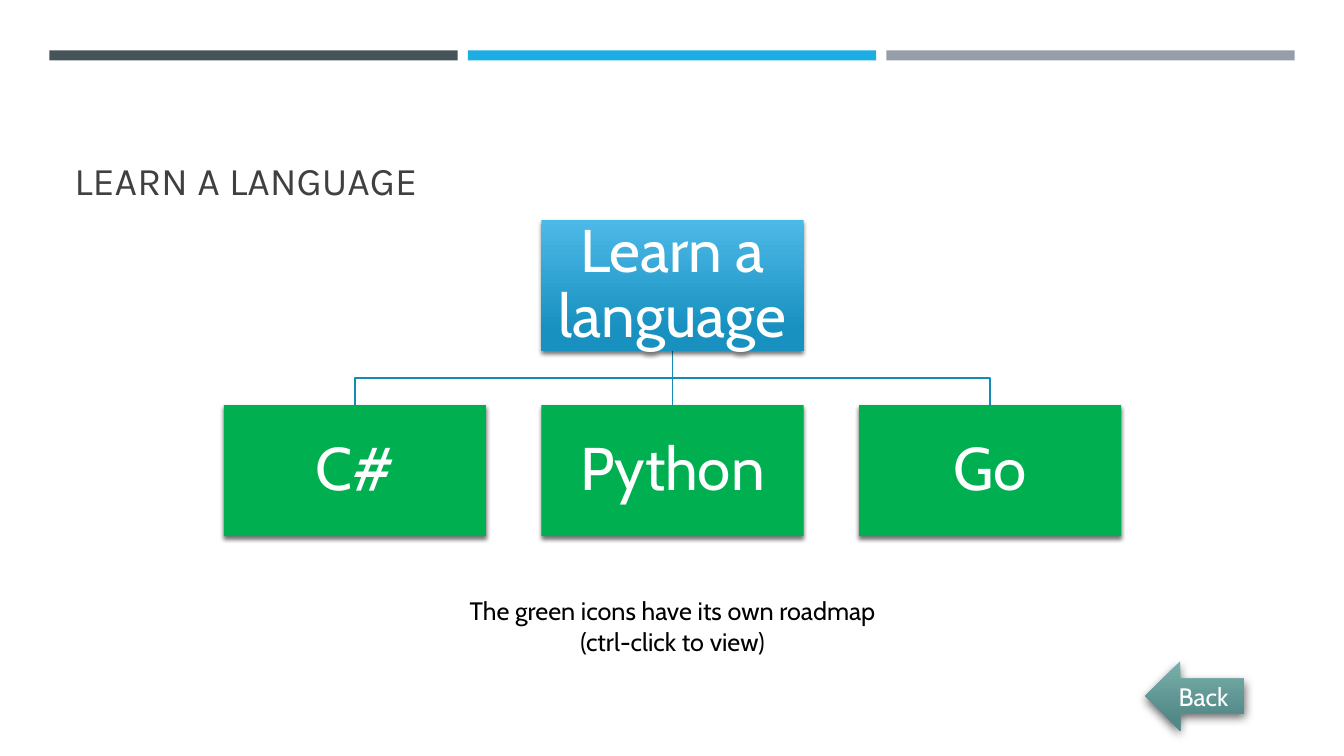
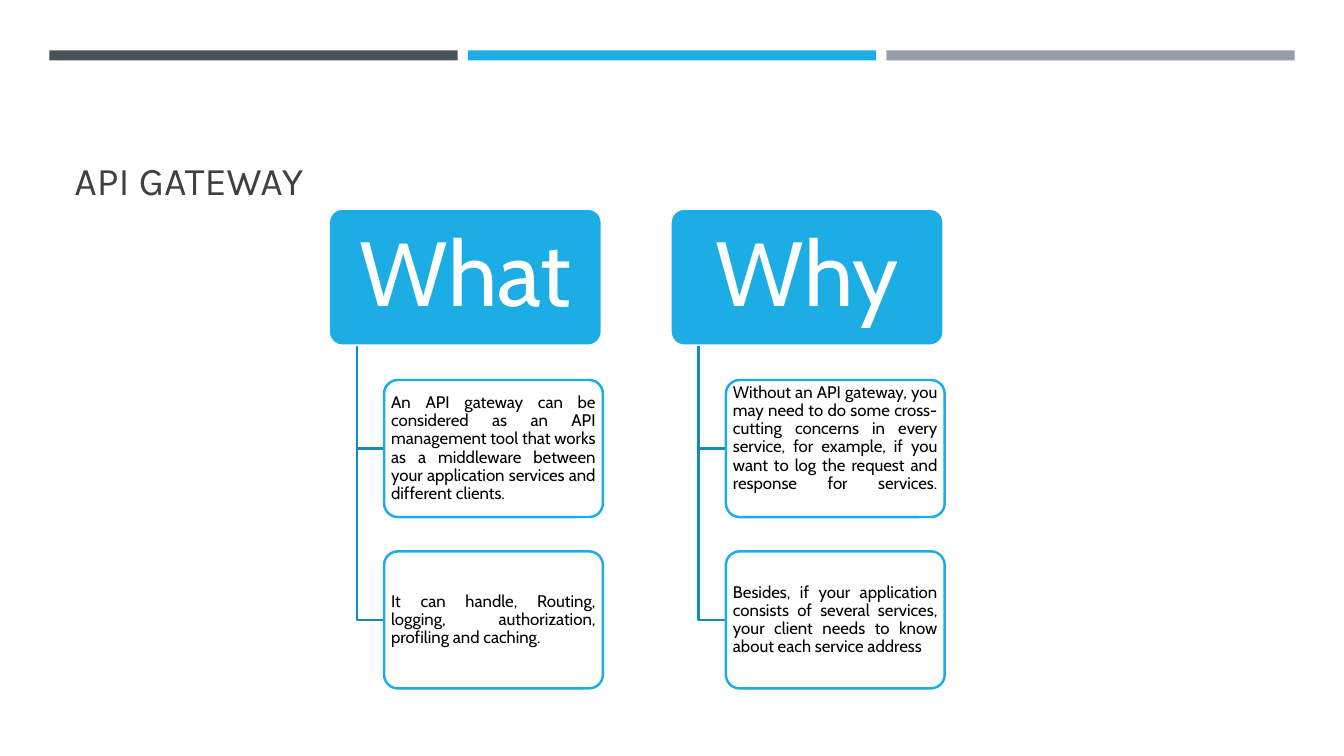
from lxml.etree import SubElement
from copy import deepcopy
from pptx import Presentation
from pptx.dml.color import RGBColor
from pptx.enum.shapes import MSO_CONNECTOR, MSO_SHAPE
from pptx.enum.text import MSO_ANCHOR, PP_ALIGN
from pptx.oxml.ns import qn
from pptx.util import Inches, Pt

SLATE = RGBColor(0x46, 0x53, 0x59)
BLUE = RGBColor(0x1C, 0xAD, 0xE4)
GREY = RGBColor(0x96, 0x9F, 0xA7)
LINK = RGBColor(0x16, 0x8B, 0xB7)
GREEN = RGBColor(0x00, 0xB0, 0x50)
WHITE = RGBColor(0xFF, 0xFF, 0xFF)
BLACK = RGBColor(0x00, 0x00, 0x00)
CHARCOAL = RGBColor(0x40, 0x40, 0x40)
BLUE_FADE = (RGBColor(0x4D, 0xB9, 0xE8), RGBColor(0x18, 0x91, 0xC0))
TEAL_FADE = (RGBColor(0x79, 0xB0, 0xAC), RGBColor(0x52, 0x89, 0x86))
SOFT_SHADOW = (55, 3, 2, 90)
DEEP_SHADOW = (60, 7, 3, 84)


class Deck:
    BODY_FONT = "Cabin"
    TITLE_FONT = "Karla"

    def __init__(self):
        self.prs = Presentation()
        self.prs.slide_width = Inches(13.33)
        self.prs.slide_height = Inches(7.5)

    def slide(self, title):
        self.s = self.prs.slides.add_slide(self.prs.slide_layouts[6])
        for i, color in enumerate((SLATE, BLUE, GREY)):
            self.box(0.49 + i * 4.15, 0.5, 4.05, 0.1, color)
        self.label(0.64, 0.77, 12.06, 1.3, title, 28, CHARCOAL,
                   font=self.TITLE_FONT, anchor=MSO_ANCHOR.BOTTOM)

    def set_text(self, sp, text, size, color, font=BODY_FONT, align=PP_ALIGN.LEFT,
                 anchor=MSO_ANCHOR.MIDDLE, inset=(0.1, 0.05), spacing=1.0, wrap=True):
        tf = sp.text_frame
        side, end = (Inches(v) for v in inset)
        frame = {"word_wrap": wrap, "vertical_anchor": anchor,
                 "margin_left": side, "margin_right": side,
                 "margin_top": end, "margin_bottom": end}
        for name, value in frame.items():
            setattr(tf, name, value)
        p = tf.paragraphs[0]
        p.text = text
        p.alignment = align
        p.line_spacing = spacing
        for r in p.runs:
            for name, value in {"name": font, "size": Pt(size)}.items():
                setattr(r.font, name, value)
            r.font.color.rgb = color
        for br in p._p.findall(qn("a:br")):
            br.append(deepcopy(p.runs[0]._r.rPr))

    def label(self, x, y, w, h, text, size, color, **style):
        sp = self.s.shapes.add_textbox(Inches(x), Inches(y), Inches(w), Inches(h))
        self.set_text(sp, text, size, color, **style)

    def box(self, x, y, w, h, fill, kind=MSO_SHAPE.RECTANGLE, line=None, shadow=None):
        sp = self.s.shapes.add_shape(kind, Inches(x), Inches(y), Inches(w), Inches(h))
        sp.shadow.inherit = False
        if kind == MSO_SHAPE.ROUNDED_RECTANGLE:
            sp.adjustments[0] = 0.1
        if isinstance(fill, RGBColor):
            sp.fill.solid()
            sp.fill.fore_color.rgb = fill
        else:
            sp.fill.gradient()
            sp.fill.gradient_angle = 270
            for stop, color, position in zip(sp.fill.gradient_stops, fill, (0, 0.84)):
                stop.color.rgb = color
                stop.position = position
        if line:
            self.stroke(sp, line, 1.75)
        else:
            sp.line.fill.background()
        if shadow:
            self.cast_shadow(sp, *shadow)
        return sp

    def cast_shadow(self, sp, opacity, blur, distance, angle):
        effects = sp._element.spPr.find(qn("a:effectLst"))
        outer = SubElement(effects, qn("a:outerShdw"), blurRad=str(Pt(blur)),
                           dist=str(Pt(distance)), dir=str(angle * 60000),
                           rotWithShape="0")
        color = SubElement(outer, qn("a:srgbClr"), val="000000")
        SubElement(color, qn("a:alpha"), val=str(opacity * 1000))

    def stroke(self, sp, color, width):
        sp.line.color.rgb = color
        sp.line.width = Pt(width)

    def straight(self, x1, y1, x2, y2, width):
        c = self.s.shapes.add_connector(
            MSO_CONNECTOR.STRAIGHT, Inches(x1), Inches(y1), Inches(x2), Inches(y2))
        self.stroke(c, LINK, width)
        SubElement(c._element.spPr, qn("a:effectLst"))

    def elbow(self, points, width):
        start, *rest = [(Inches(x), Inches(y)) for x, y in points]
        builder = self.s.shapes.build_freeform(*start)
        builder.add_line_segments(rest, close=False)
        sp = builder.convert_to_shape()
        sp.shadow.inherit = False
        sp.fill.background()
        self.stroke(sp, LINK, width)

    def node(self, center, y, text, fill):
        sp = self.box(center - 1.3, y, 2.6, 1.3, fill, shadow=SOFT_SHADOW)
        self.set_text(sp, text, 43, WHITE, align=PP_ALIGN.CENTER,
                      inset=(0.03, 0.03), spacing=0.9)

    def column(self, x, heading, details):
        top, w, h, step = 2.07, 2.71, 1.36, 1.7
        rounded = MSO_SHAPE.ROUNDED_RECTANGLE
        sp = self.box(x, top, w, h, BLUE, rounded, WHITE)
        self.set_text(sp, heading, 65, WHITE, align=PP_ALIGN.CENTER,
                      inset=(0.14, 0.09), spacing=0.9)
        trunk, left = x + 0.28, x + 0.55
        for i, detail in enumerate(details, 1):
            y = top + i * step
            middle = y + h / 2
            self.elbow([(trunk, top + h), (trunk, middle), (left, middle)], 1.75)
            sp = self.box(left, y, 2.17, h, WHITE, rounded, BLUE)
            self.set_text(sp, detail, 12, BLACK, align=PP_ALIGN.JUSTIFY,
                          inset=(0.03, 0.02), spacing=0.9)


def language_slide(deck):
    deck.slide("LEARN A LANGUAGE")
    root, root_y, child_y = 6.67, 2.18, 4.02
    root_bottom = root_y + 1.3
    bend = (root_bottom + child_y) / 2
    languages = {root - 3.15: "C#", root: "Python", root + 3.15: "Go"}
    for center in languages:
        if center == root:
            deck.straight(root, root_bottom, root, child_y, 1)
        else:
            deck.elbow([(root, root_bottom), (root, bend),
                        (center, bend), (center, child_y)], 1)
    deck.node(root, root_y, "Learn a language", BLUE_FADE)
    for center, name in languages.items():
        deck.node(center, child_y, name, GREEN)
    back = deck.box(11.36, 6.56, 0.98, 0.69, TEAL_FADE, MSO_SHAPE.LEFT_ARROW,
                    shadow=DEEP_SHADOW)
    deck.set_text(back, "Back", 18, WHITE, align=PP_ALIGN.CENTER, wrap=False)
    deck.label(4.53, 5.86, 4.28, 0.71,
               "The green icons have its own roadmap\v(ctrl-click to view)", 18, BLACK,
               align=PP_ALIGN.CENTER, anchor=MSO_ANCHOR.TOP, wrap=False)


def gateway_slide(deck):
    deck.slide("API GATEWAY")
    columns = {
        "What": (
            "An API gateway can be considered as an API management tool that works "
            "as a middleware between your application services and different clients.",
            "It can handle, Routing, logging, authorization, profiling and caching.",
        ),
        "Why": (
            "Without an API gateway, you may need to do some cross-cutting concerns "
            "in every service, for example, if you want to log the request and "
            "response for services.\v",
            "Besides, if your application consists of several services, your client "
            "needs to know about each service address",
        ),
    }
    for i, (heading, details) in enumerate(columns.items()):
        deck.column(3.26 + i * 3.39, heading, details)


def main():
    deck = Deck()
    language_slide(deck)
    gateway_slide(deck)
    deck.prs.save("out.pptx")


if __name__ == "__main__":
    main()
